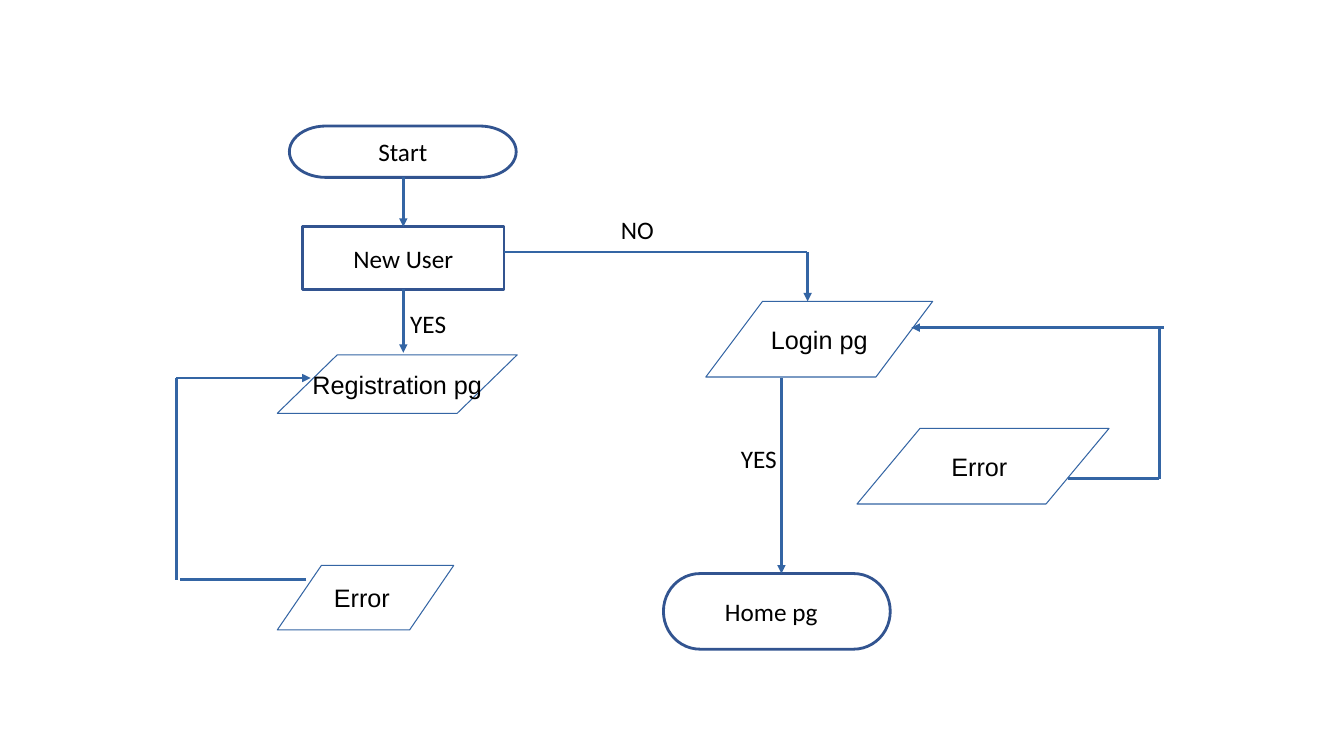
from dataclasses import dataclass

from lxml.etree import SubElement
from pptx import Presentation
from pptx.dml.color import RGBColor
from pptx.enum.shapes import MSO_CONNECTOR as Connector, MSO_SHAPE as Shape
from pptx.enum.text import MSO_ANCHOR as Anchor, MSO_AUTO_SIZE as AutoSize, PP_ALIGN as Align
from pptx.oxml.ns import qn
from pptx.util import Inches, Pt


@dataclass(frozen=True)
class Theme:
    """Colours, fonts and sizes of the flowchart."""
    paper: RGBColor = RGBColor(0xFF, 0xFF, 0xFF)
    ink: RGBColor = RGBColor(0, 0, 0)
    border: RGBColor = RGBColor(0x32, 0x54, 0x90)
    flow: RGBColor = RGBColor(0x34, 0x65, 0xA4)
    step_font: str = "Calibri"
    page_font: str = "Arial"
    text_size: Pt = Pt(18)
    border_width: Pt = Pt(2)
    flow_width: Pt = Pt(0)


@dataclass(frozen=True)
class Box:
    """A rectangle in inches."""
    left: float
    top: float
    width: float
    height: float

    def within(self, dx, dy, width, height):
        """Return a box offset from this one's corner."""
        return Box(self.left + dx, self.top + dy, width, height)

    def emu(self):
        """Return left, top, width and height as lengths."""
        return [Inches(v) for v in (self.left, self.top, self.width, self.height)]


THEME = Theme()


def write(node, wording, font, align):
    """Put one styled line of text into a shape."""
    paragraph = node.text_frame.paragraphs[0]
    paragraph.text = wording
    paragraph.alignment = align
    style = paragraph.runs[0].font
    style.name, style.size = font, THEME.text_size
    style.color.rgb = THEME.ink


def finish(node, wording, font, colour, width, nudge):
    """Give a node its fill, outline and centred text."""
    node.shadow.inherit = False
    node.fill.solid()
    node.fill.fore_color.rgb = THEME.paper
    node.line.color.rgb = colour
    node.line.width = width
    node.text_frame.vertical_anchor = Anchor.MIDDLE
    node.text_frame.margin_right = Inches(0.1 + nudge)
    write(node, wording, font, Align.CENTER)


def add_step(slide, kind, box, wording, nudge=0):
    """Draw a heavy-bordered step."""
    step = slide.shapes.add_shape(kind, *box.emu())
    step.text_frame.word_wrap = True
    finish(step, wording, THEME.step_font, THEME.border, THEME.border_width, nudge)


def add_page(slide, box, wording, nudge=0):
    """Draw a slanted page whose slant is a quarter of its width."""
    left, top, width, height = box.emu()
    slant = width // 4
    outline = slide.shapes.build_freeform(left + slant, top)
    outline.add_line_segments([(left + width, top), (left + width - slant, top + height),
                               (left, top + height)], close=True)
    page = outline.convert_to_shape()
    page.text_frame.word_wrap = False
    finish(page, wording, THEME.page_font, THEME.flow, THEME.flow_width, nudge)


def add_flow(slide, region, start, end, arrow=False):
    """Draw a line between two points of a region."""
    points = [Inches(origin + offset) for point in (start, end)
              for origin, offset in zip((region.left, region.top), point)]
    flow = slide.shapes.add_connector(Connector.STRAIGHT, *points)
    flow.line.color.rgb = THEME.flow
    flow.line.width = THEME.flow_width
    properties = flow._element.spPr
    if arrow:
        SubElement(properties.get_or_add_ln(), qn("a:tailEnd"), type="triangle")
    SubElement(properties, qn("a:effectLst"))


def add_answer(slide, box, wording):
    """Write the answer beside a branch."""
    answer = slide.shapes.add_textbox(*box.emu())
    answer.text_frame.word_wrap = True
    answer.text_frame.auto_size = AutoSize.SHAPE_TO_FIT_TEXT
    write(answer, wording, THEME.step_font, Align.LEFT)


def draw_registration(slide, region):
    """Draw the start, the user check and the registration loop."""
    add_step(slide, Shape.FLOWCHART_TERMINATOR, region.within(1.12, 0, 2.25, 0.51), "Start")
    add_step(slide, Shape.RECTANGLE, region.within(1.25, 1, 2, 0.62), "New User")
    add_page(slide, region.within(1, 2.27, 2.38, 0.58), "Registration pg")
    add_page(slide, region.within(1, 4.36, 1.75, 0.64), "Error", nudge=0.07)
    add_flow(slide, region, (2.25, 0.51), (2.25, 1), arrow=True)
    add_flow(slide, region, (2.25, 1.62), (2.25, 2.25), arrow=True)
    add_flow(slide, region, (1.29, 4.5), (0.04, 4.5))
    add_flow(slide, region, (0, 4.5), (0, 2.5))
    add_flow(slide, region, (0, 2.5), (1.33, 2.5), arrow=True)
    add_answer(slide, region.within(2.22, 1.76, 3.06, 0.4), "YES")


def draw_login(slide, region):
    """Draw the login branch, its error loop and the home page."""
    add_page(slide, region.within(2, 0.91, 2.25, 0.75), "Login pg")
    add_page(slide, region.within(3.5, 2.17, 2.5, 0.75), "Error", nudge=0.07)
    add_step(slide, Shape.FLOWCHART_TERMINATOR, region.within(1.58, 3.61, 2.25, 0.75),
             "Home pg", nudge=0.11)
    add_flow(slide, region, (0, 0.42), (3, 0.42))
    add_flow(slide, region, (3.01, 0.42), (3.01, 0.91), arrow=True)
    add_flow(slide, region, (5.59, 2.67), (6.5, 2.67))
    add_flow(slide, region, (6.5, 2.67), (6.5, 1.17))
    add_flow(slide, region, (6.54, 1.17), (4.04, 1.17), arrow=True)
    add_flow(slide, region, (2.75, 1.67), (2.75, 3.61), arrow=True)
    add_answer(slide, region.within(1.06, 0, 3, 0.4), "NO")
    add_answer(slide, region.within(2.25, 2.27, 3, 0.4), "YES")


def main():
    """Build the flowchart slide and save it."""
    deck = Presentation()
    deck.slide_width, deck.slide_height = Inches(13.33), Inches(7.5)
    slide = deck.slides.add_slide(deck.slide_layouts[6])
    draw_registration(slide, Box(1.75, 1.25, 3.38, 5))
    draw_login(slide, Box(5, 2.08, 6.54, 4.36))
    deck.save("out.pptx")


if __name__ == "__main__":
    main()
